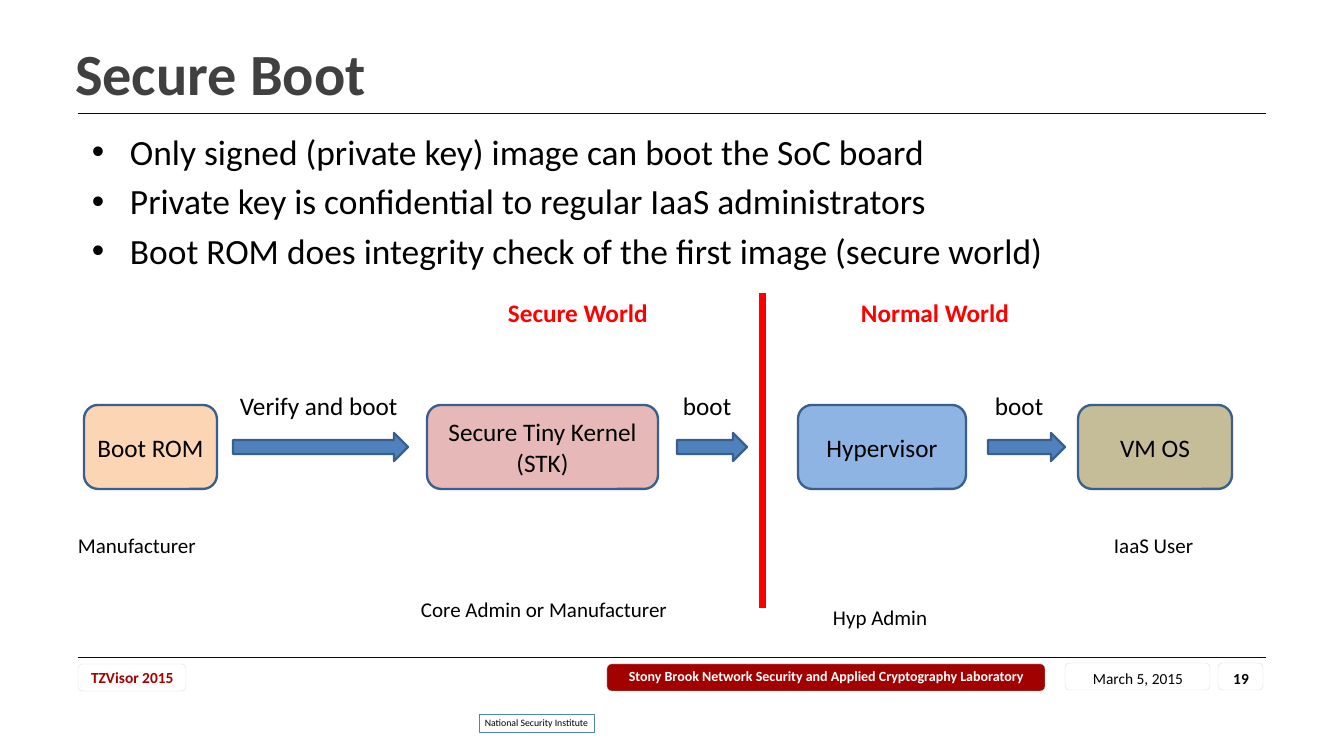
from lxml import etree
from pptx import Presentation
from pptx.dml.color import RGBColor
from pptx.enum.shapes import MSO_CONNECTOR as Connector, MSO_SHAPE as Shape
from pptx.enum.text import MSO_ANCHOR as Anchor, MSO_AUTO_SIZE as AutoSize, PP_ALIGN as Align
from pptx.oxml.ns import qn
from pptx.util import Emu, Pt

BLACK, WHITE, RED, DARK_RED = "000000", "FFFFFF", "FF0000", "A10200"
OUTLINE, ARROW_BLUE, PALE_GRAY = "3A5F8C", "4F81BD", "D9D9D9"


def px(count):
    """Turn pixels, 84 to the inch, into EMU."""
    return Emu(round(count * 914400 / 84))


def color(hex_text):
    return RGBColor.from_string(hex_text)


def write(shape, *lines, size=21.6, ink=BLACK, bold=False, align=Align.LEFT,
          anchor=Anchor.TOP, inset=(8, 4), wrap=True, bullet_indent=0, gap=0):
    frame = shape.text_frame
    frame.word_wrap = wrap
    frame.auto_size = AutoSize.NONE if wrap else AutoSize.SHAPE_TO_FIT_TEXT
    frame.vertical_anchor = anchor
    frame.margin_left = frame.margin_right = px(inset[0])
    frame.margin_top = frame.margin_bottom = px(inset[1])
    for number, line in enumerate(lines):
        para = frame.add_paragraph() if number else frame.paragraphs[0]
        para.alignment = align
        if number:
            para.space_before = Pt(gap)
        if bullet_indent:
            properties = para._p.get_or_add_pPr()
            properties.set("marL", str(px(bullet_indent)))
            properties.set("indent", str(-px(bullet_indent)))
            etree.SubElement(properties, qn("a:buFont")).set("typeface", "Arial")
            etree.SubElement(properties, qn("a:buChar")).set("char", "•")
        span = para.add_run()
        span.text = line
        span.font.name = "Calibri"
        span.font.size = Pt(size)
        span.font.bold = bold
        span.font.color.rgb = color(ink)


class SlideBuilder:
    def __init__(self, slide):
        self.shapes = slide.shapes

    def text(self, left, top, width, height, *lines, **style):
        box = self.shapes.add_textbox(px(left), px(top), px(width), px(height))
        write(box, *lines, **style)

    def label(self, left, top, width, words, **style):
        self.text(left, top, width, 38, words, wrap=False, **style)

    def shape(self, kind, left, top, width, height, fill=None, line=OUTLINE, weight=2):
        shape = self.shapes.add_shape(kind, px(left), px(top), px(width), px(height))
        shape.shadow.inherit = False
        if fill:
            shape.fill.solid()
            shape.fill.fore_color.rgb = color(fill)
        else:
            shape.fill.background()
        shape.line.color.rgb = color(line)
        shape.line.width = Pt(weight)
        return shape

    def line(self, left, top, right, bottom, ink, weight):
        line = self.shapes.add_connector(
            Connector.STRAIGHT, px(left), px(top), px(right), px(bottom))
        line.line.color.rgb = color(ink)
        line.line.width = Pt(weight)
        etree.SubElement(line._element.spPr, qn("a:effectLst"))

    def stage(self, left, width, name, fill):
        box = self.shape(Shape.ROUNDED_RECTANGLE, left, 405, width, 84, fill)
        write(box, name, align=Align.CENTER, anchor=Anchor.MIDDLE)

    def step(self, left, width, words, label_left, label_width):
        self.shape(Shape.RIGHT_ARROW, left, 433, width, 28, ARROW_BLUE)
        self.label(label_left, 386, label_width, words)

    def badge(self, left, top, width, words, text_area, fill=None, **style):
        """Draw a footer frame with its text in a wider area (left, top, width)."""
        self.shape(Shape.ROUNDED_RECTANGLE, left, top, width, 27, fill, PALE_GRAY, 0.25)
        text_left, text_top, text_width = text_area
        self.text(text_left, text_top, text_width, 32, words, inset=(13, 7), **style)


def add_footer(page):
    for rule_top in (113, 657):
        page.line(78, rule_top, 1266, rule_top, "0D0D0D", 0.75)
    page.badge(1218, 663, 45, "19", (1213, 662, 56),
               size=13.2, bold=True, align=Align.CENTER)
    page.badge(1065, 663, 145, "March 5, 2015", (1060, 662, 156),
               size=13.2, align=Align.CENTER)
    page.badge(78, 664, 108, "TZVisor 2015", (78, 661, 139),
               size=13.2, bold=True, ink=DARK_RED)
    page.badge(607, 664, 438,
               "Stony Brook Network Security and Applied Cryptography Laboratory",
               (601, 661, 451), fill=DARK_RED, size=12, bold=True, ink=WHITE,
               align=Align.CENTER)
    institute = page.shape(Shape.RECTANGLE, 479, 714, 115, 18, WHITE, ARROW_BLUE, 0.25)
    write(institute, "National Security Institute", size=8.4, align=Align.CENTER,
          inset=(3, 3))


def add_boot_chain(page):
    for stage in ((84, 133, "Boot ROM", "FCD5B5"),
                  (427, 231, "Secure Tiny Kernel (STK)", "E6B9B8"),
                  (798, 168, "Hypervisor", "8EB4E3"),
                  (1078, 154, "VM OS", "C4BD97")):
        page.stage(*stage)
    for step in ((233, 175, "Verify and boot", 232, 176),
                 (677, 70, "boot", 675, 66),
                 (988, 77, "boot", 987, 66)):
        page.step(*step)
    page.line(763, 293, 763, 608, RED, 6)
    for left, width, world in ((500, 158, "Secure World"), (853, 166, "Normal World")):
        page.label(left, 293, width, world, ink=RED, bold=True)
    for left, top, width, owner in ((70, 528, 136, "Manufacturer"),
                                    (413, 592, 266, "Core Admin or Manufacturer"),
                                    (825, 601, 113, "Hyp Admin"),
                                    (1106, 528, 97, "IaaS User")):
        page.label(left, top, width, owner, size=18)


def main():
    deck = Presentation()
    deck.slide_width, deck.slide_height = px(1344), px(756)
    page = SlideBuilder(deck.slides.add_slide(deck.slide_layouts[6]))
    add_footer(page)
    page.text(67, 20, 1199, 104, "Secure Boot", size=50, ink="404040", bold=True,
              anchor=Anchor.MIDDLE)
    page.text(84, 126, 1183, 160,
              "Only signed (private key) image can boot the SoC board",
              "Private key is confidential to regular IaaS administrators",
              "Boot ROM does integrity check of the first image (secure world)",
              size=30.4, bullet_indent=38, gap=6)
    add_boot_chain(page)
    deck.save("out.pptx")


if __name__ == "__main__":
    main()
